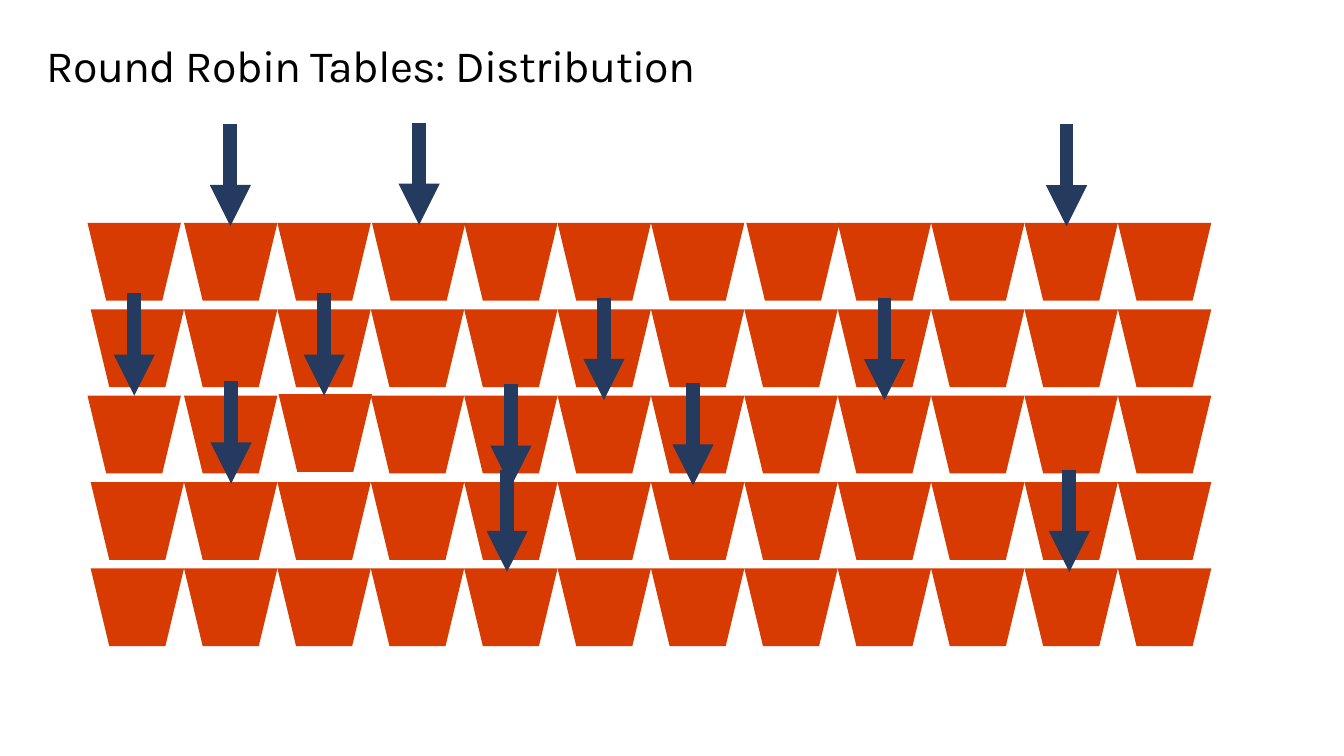
"""Build the slide showing how round robin tables are distributed over pots."""
from typing import NamedTuple

from lxml import etree
from pptx import Presentation
from pptx.dml.color import RGBColor
from pptx.enum import shapes, text
from pptx.oxml import ns
from pptx.util import Cm, Pt

BLACK = RGBColor(0x00, 0x00, 0x00)
ORANGE = RGBColor(0xD8, 0x3B, 0x01)
NAVY = RGBColor(0x24, 0x3A, 0x5E)

ROWS, COLUMNS = 5, 12
GRID_LEFT, GRID_TOP = 2.33, 5.73
COLUMN_PITCH, ROW_PITCH = 2.4, 2.22
POT_WIDTH, POT_HEIGHT = 2.4, 2.0
ARROW_LENGTH = 2.63


class Offset(NamedTuple):
    """Shift of one pot from its grid place, in centimetres."""
    x: float
    y: float


class Arrow(NamedTuple):
    """Start of a downward arrow, in centimetres."""
    x: float
    top: float


POT_OFFSETS = {
    (0, 0): Offset(-0.08, 0),
    (0, 3): Offset(0.03, 0),
    (0, 7): Offset(0.05, 0),
    (2, 0): Offset(-0.08, 0),
    (2, 2): Offset(0.03, -0.04),
}

ARROWS = [
    Arrow(5.92, 3.18), Arrow(10.77, 3.15), Arrow(27.41, 3.19),
    Arrow(3.45, 7.54), Arrow(8.33, 7.54), Arrow(15.52, 7.65), Arrow(22.73, 7.66),
    Arrow(5.94, 9.8), Arrow(13.13, 9.88), Arrow(17.81, 9.85),
    Arrow(13.03, 12.07), Arrow(27.48, 12.07),
]


def add_title(page, title: str) -> None:
    """Write the slide title."""
    box = page.shapes.add_textbox(Cm(1.2), Cm(1.04), Cm(31.5), Cm(1.32))
    frame = box.text_frame
    frame.word_wrap = True
    frame.auto_size = text.MSO_AUTO_SIZE.SHAPE_TO_FIT_TEXT
    frame.margin_left = frame.margin_right = frame.margin_top = frame.margin_bottom = 0
    para = frame.paragraphs[0]
    para.line_spacing = Pt(36.9)
    span = para.add_run()
    span.text = title
    span._r.get_or_add_rPr().set("spc", "-50")
    para.font.name = "Karla"
    para.font.size = Pt(32.6)
    para.font.color.rgb = BLACK


def add_pot(page, row: int, column: int) -> None:
    """Draw the pot of one grid cell."""
    offset = POT_OFFSETS.get((row, column), Offset(0, 0))
    pot = page.shapes.add_shape(
        shapes.MSO_SHAPE.FLOWCHART_MANUAL_OPERATION,
        Cm(GRID_LEFT + column * COLUMN_PITCH + offset.x),
        Cm(GRID_TOP + row * ROW_PITCH + offset.y),
        Cm(POT_WIDTH), Cm(POT_HEIGHT))
    pot.shadow.inherit = False
    pot.fill.solid()
    pot.fill.fore_color.rgb = ORANGE
    pot.line.fill.background()


def add_arrow(page, arrow: Arrow) -> None:
    """Draw one thick downward arrow."""
    line = page.shapes.add_connector(
        shapes.MSO_CONNECTOR.STRAIGHT, Cm(arrow.x), Cm(arrow.top),
        Cm(arrow.x), Cm(arrow.top + ARROW_LENGTH))
    line.line.color.rgb = NAVY
    line.line.width = Pt(10)
    etree.SubElement(line.line._get_or_add_ln(), ns.qn("a:tailEnd"), type="triangle")
    etree.SubElement(line._element.spPr, ns.qn("a:effectLst"))


def main() -> None:
    """Build and save the deck."""
    deck = Presentation()
    deck.slide_width, deck.slide_height = Cm(34.54), Cm(19.43)
    page = deck.slides.add_slide(deck.slide_layouts[6])
    add_title(page, "Round Robin Tables: Distribution")
    for row in range(ROWS):
        for column in range(COLUMNS):
            add_pot(page, row, column)
    for arrow in ARROWS:
        add_arrow(page, arrow)
    deck.save("out.pptx")


if __name__ == "__main__":
    main()
